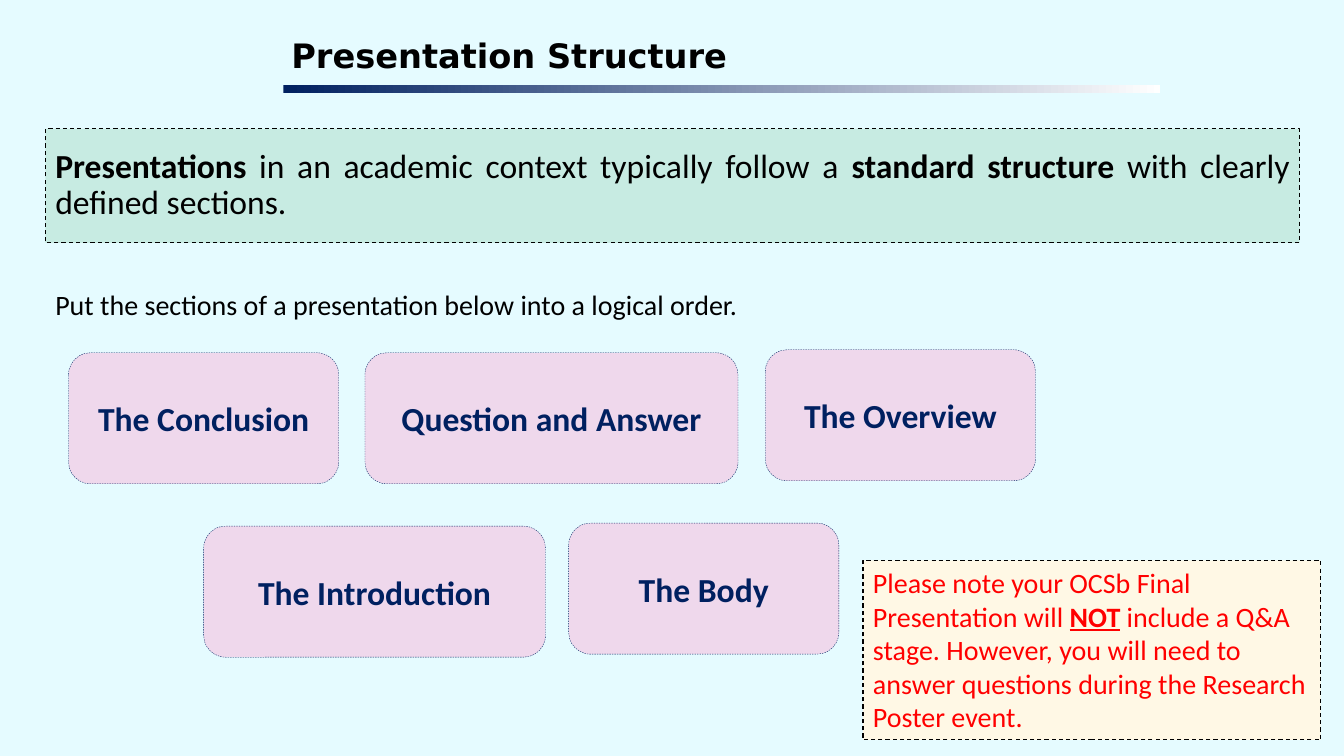
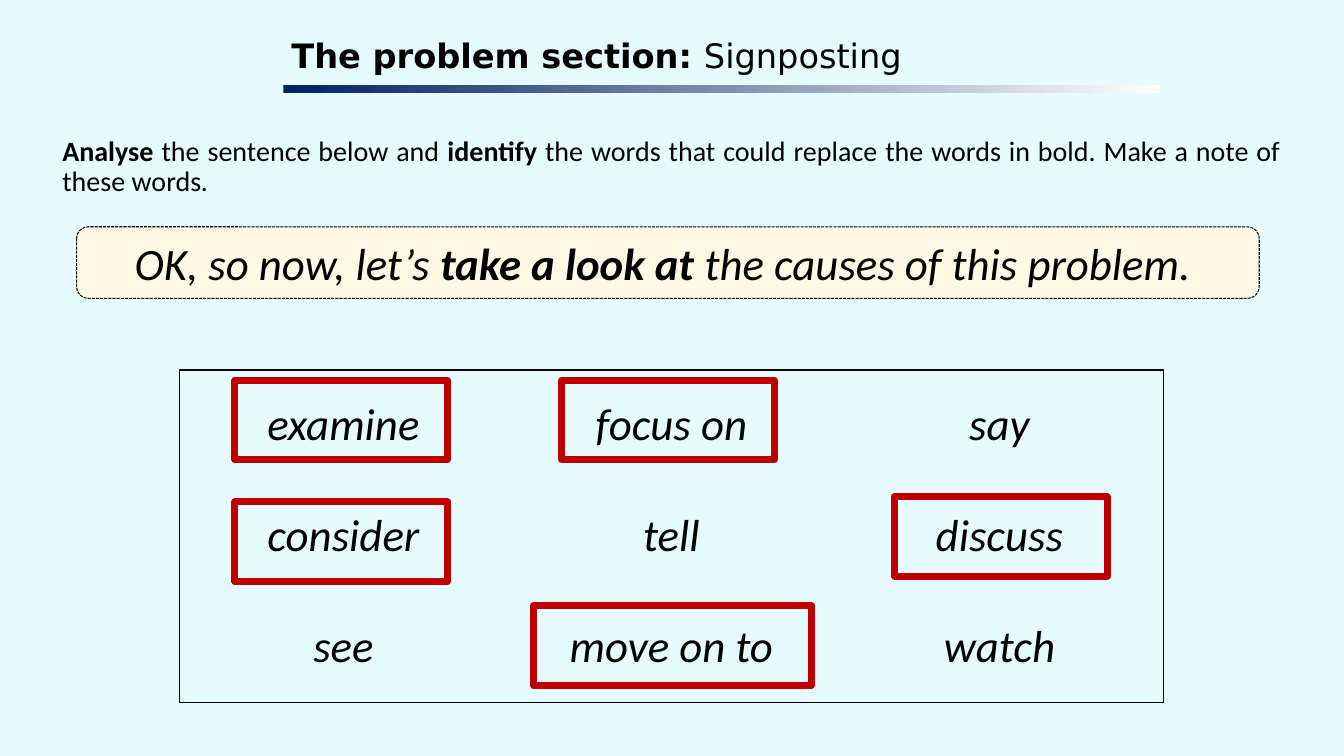
from lxml.etree import SubElement
from pptx import Presentation
from pptx.dml.color import RGBColor
from pptx.enum.dml import MSO_LINE
from pptx.enum.shapes import MSO_SHAPE
from pptx.enum.text import MSO_ANCHOR, PP_ALIGN
from pptx.oxml.ns import qn
from pptx.util import Inches, Pt

COLOURS = {"page": "E5FBFF", "ink": "000000", "navy": "002060", "white": "FFFFFF",
           "mint": "C7EBE2", "pink": "EFD8EC", "cream": "FFF8E5",
           "alert": "FF0000", "mark": "C00000"}
BODY, HEADING = "Calibri", "DejaVu Sans"

# Each run is (text, marks): b bold, i italic, u underlined.
STRUCTURE_TITLE = [("Presentation Structure", "b")]
STATEMENT = [("Presentations", "b"), (" in an academic context typically follow a ", ""),
             ("standard structure", "b"), (" with clearly defined sections. ", "")]
TASK = [("Put the sections of a presentation below into a logical order. ", "")]
CARD_HEIGHT = 1.3
SECTIONS = [  # name, left, top, width
    ("The Conclusion", 0.68, 3.5, 2.68),
    ("Question and Answer", 3.62, 3.5, 3.7),
    ("The Overview", 7.59, 3.47, 2.68),
    ("The Introduction", 2.02, 5.22, 3.39),
    ("The Body", 5.64, 5.19, 2.68),
]
NOTE = [("Please note your OCSb Final Presentation will ", ""), ("NOT", "bu"),
        (" include a Q&A stage. However, you will need to answer questions "
         "during the Research Poster event.", "")]

SIGNPOST_TITLE = [("The problem section: ", "b"), ("Signposting", "")]
INSTRUCTION = [("Analyse", "b"), (" the sentence below and ", ""), ("identify", "b"),
               (" the words that could replace the words in bold. "
                "Make a note of these words", ""), (".", "i")]
SENTENCE = [("OK, so now, let’s ", "i"), ("take a look at ", "bi"),
            ("the causes of this problem. ", "i")]
WORDS = [("examine", "focus on", "say"),
         ("consider", "tell", "discuss"),
         ("see", "move on to", "watch")]
WORD_GRID = (1.78, 3.67, 9.76, 3.3)
ANSWER_HEIGHT = 0.79
ANSWERS = [  # left, top, width
    (2.33, 3.77, 2.11), (5.57, 3.77, 2.11),
    (2.33, 4.98, 2.11), (8.87, 4.93, 2.11),
    (5.29, 6.01, 2.76),
]

JUSTIFIED = {"alignment": PP_ALIGN.JUSTIFY}
CENTRED = {"alignment": PP_ALIGN.CENTER}
BODY_STYLE = {**JUSTIFIED, "line_spacing": 0.9, "space_before": Pt(10)}


def rgb(name):
    return RGBColor.from_string(COLOURS[name])


def apply(target, values):
    for attribute, value in values.items():
        setattr(target, attribute, value)


def write(frame, runs, size, colour="ink", font=BODY, style=None):
    paragraph = frame.paragraphs[0]
    apply(paragraph, style or {"alignment": PP_ALIGN.LEFT})
    for text, marks in runs:
        run = paragraph.add_run()
        run.text = text
        apply(run.font, {"size": Pt(size), "name": font, "bold": "b" in marks,
                         "italic": "i" in marks, "underline": "u" in marks})
        run.font.color.rgb = rgb(colour)


def add_text(slide, box, runs, size, wrap=True, inset=None, **look):
    frame = slide.shapes.add_textbox(*map(Inches, box)).text_frame
    frame.word_wrap = wrap
    if inset is not None:
        sides = ("left", "top", "right", "bottom")
        apply(frame, {f"margin_{side}": Inches(inset) for side in sides})
    write(frame, runs, size, **look)


def add_box(slide, box, fill=None, line=None, weight=0.75, dash=None, rounded=False):
    kind = MSO_SHAPE.ROUNDED_RECTANGLE if rounded else MSO_SHAPE.RECTANGLE
    shape = slide.shapes.add_shape(kind, *map(Inches, box))
    shape.shadow.inherit = False
    if fill:
        shape.fill.solid()
        shape.fill.fore_color.rgb = rgb(fill)
    else:
        shape.fill.background()
    if line:
        shape.line.color.rgb = rgb(line)
        apply(shape.line, {"width": Pt(weight), "dash_style": dash})
    else:
        shape.line.fill.background()
    apply(shape.text_frame, {"word_wrap": True, "vertical_anchor": MSO_ANCHOR.MIDDLE})
    return shape


def start_slide(prs, title):
    """Add a blank slide with the shared heading and its fading rule."""
    slide = prs.slides.add_slide(prs.slide_layouts[6])
    add_text(slide, (2.85, 0.31, 8.66, 0.53), title, 24, inset=0.04, font=HEADING)
    rule = add_box(slide, (2.81, 0.84, 8.7, 0.08))
    rule.fill.gradient()
    rule.fill.gradient_angle = 0
    for stop, name in zip(rule.fill.gradient_stops, ("navy", "white")):
        stop.color.rgb = rgb(name)
    return slide


def set_borders(cell, drawn):
    """Draw the named edges of a cell and clear the others."""
    for edge in "LRTB":
        line = SubElement(cell._tc.get_or_add_tcPr(), qn(f"a:ln{edge}"), w=str(Pt(1)))
        if edge in drawn:
            fill = SubElement(line, qn("a:solidFill"))
            SubElement(fill, qn("a:srgbClr"), val=COLOURS["ink"])
        else:
            SubElement(line, qn("a:noFill"))


def add_word_grid(slide):
    rows, columns = len(WORDS), len(WORDS[0])
    table = slide.shapes.add_table(rows, columns, *map(Inches, WORD_GRID)).table
    apply(table, {"first_row": False, "horz_banding": False})
    for r, words in enumerate(WORDS):
        for c, word in enumerate(words):
            cell = table.cell(r, c)
            outer = {"L": c == 0, "R": c == columns - 1, "T": r == 0, "B": r == rows - 1}
            set_borders(cell, [edge for edge, drawn in outer.items() if drawn])
            cell.fill.background()
            cell.vertical_anchor = MSO_ANCHOR.MIDDLE
            write(cell.text_frame, [(word, "i")], 32, style=CENTRED)


def build_structure(prs):
    slide = start_slide(prs, STRUCTURE_TITLE)
    statement = add_box(slide, (0.45, 1.28, 12.44, 1.13), "mint", "ink", dash=MSO_LINE.DASH)
    write(statement.text_frame, STATEMENT, 24, style=BODY_STYLE)
    add_text(slide, (0.45, 2.8, 7.1, 0.44), TASK, 20, wrap=False, style=JUSTIFIED)
    for name, left, top, width in SECTIONS:
        card = add_box(slide, (left, top, width, CARD_HEIGHT), "pink", "navy",
                       weight=0.25, dash=MSO_LINE.DASH, rounded=True)
        write(card.text_frame, [(name, "b")], 24, "navy", style=CENTRED)
    note = add_box(slide, (8.56, 5.56, 4.54, 1.78), "cream", "ink", dash=MSO_LINE.DASH)
    note.text_frame.vertical_anchor = MSO_ANCHOR.TOP
    write(note.text_frame, NOTE, 20, "alert")


def build_signposting(prs):
    slide = start_slide(prs, SIGNPOST_TITLE)
    add_text(slide, (0.52, 1.31, 12.28, 0.8), INSTRUCTION, 20, style=BODY_STYLE)
    sentence = add_box(slide, (0.76, 2.25, 11.73, 0.71), "cream", "ink",
                       dash=MSO_LINE.SQUARE_DOT, rounded=True)
    # SQUARE_DOT is sysDot in the file; the sentence frame uses the longer sysDash.
    sentence.line._ln.find(qn("a:prstDash")).set("val", "sysDash")
    write(sentence.text_frame, SENTENCE, 32, style=CENTRED)
    add_word_grid(slide)
    for left, top, width in ANSWERS:
        add_box(slide, (left, top, width, ANSWER_HEIGHT), line="mark", weight=5)


def main():
    prs = Presentation()
    prs.slide_width, prs.slide_height = Inches(13.33), Inches(7.5)
    page = prs.slide_master.background.fill
    page.solid()
    page.fore_color.rgb = rgb("page")
    build_structure(prs)
    build_signposting(prs)
    prs.save("out.pptx")


if __name__ == "__main__":
    main()
